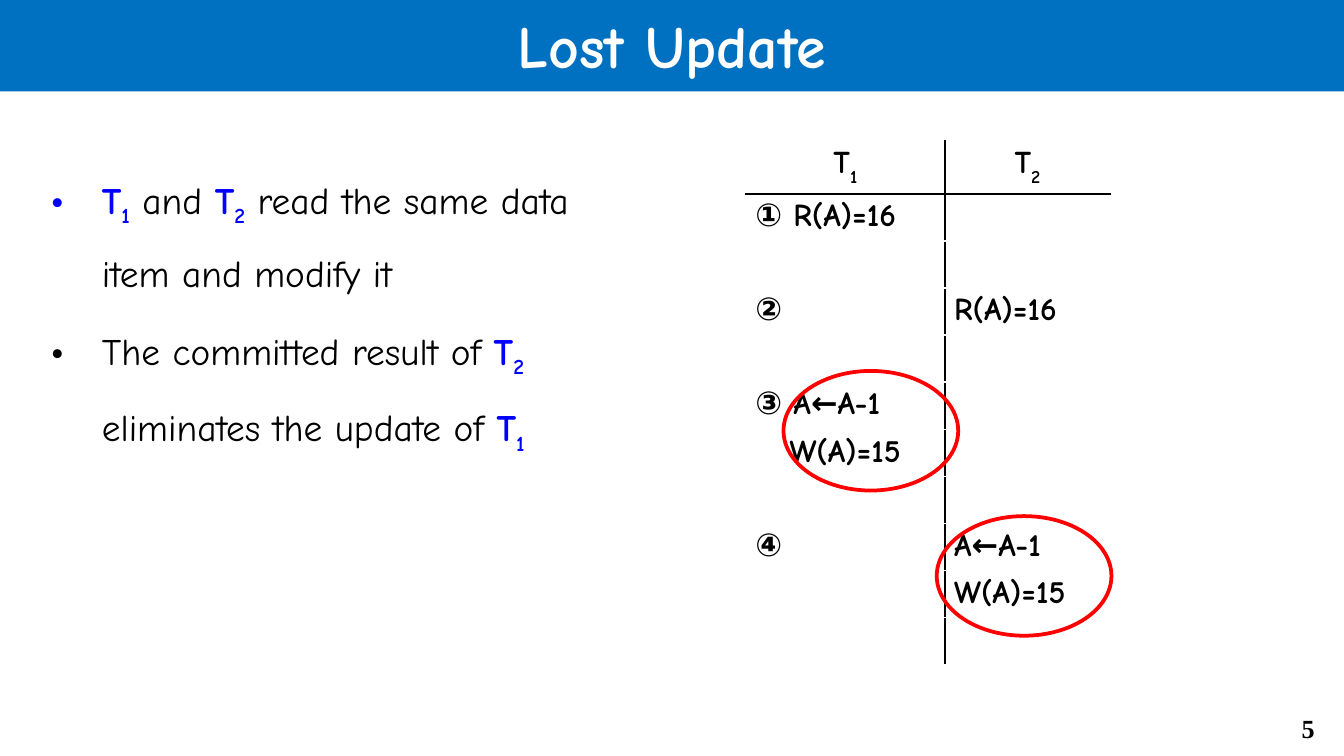
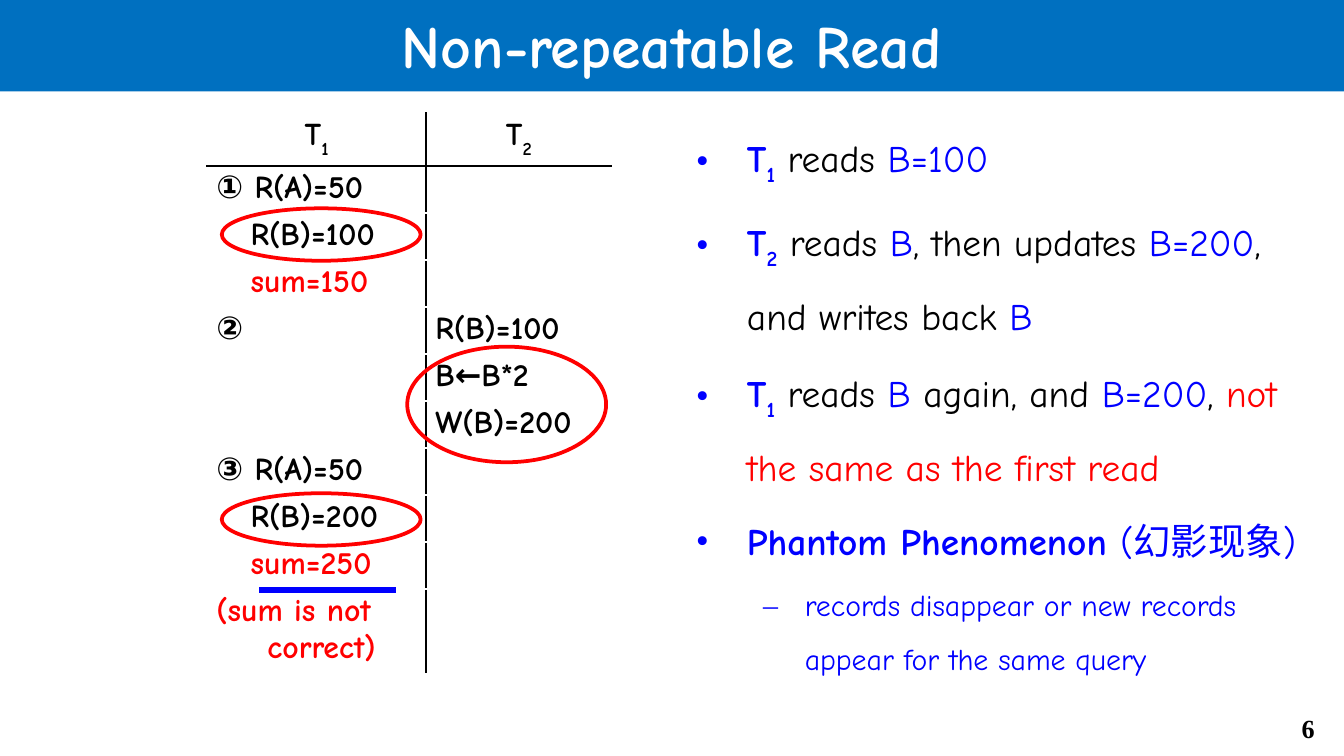
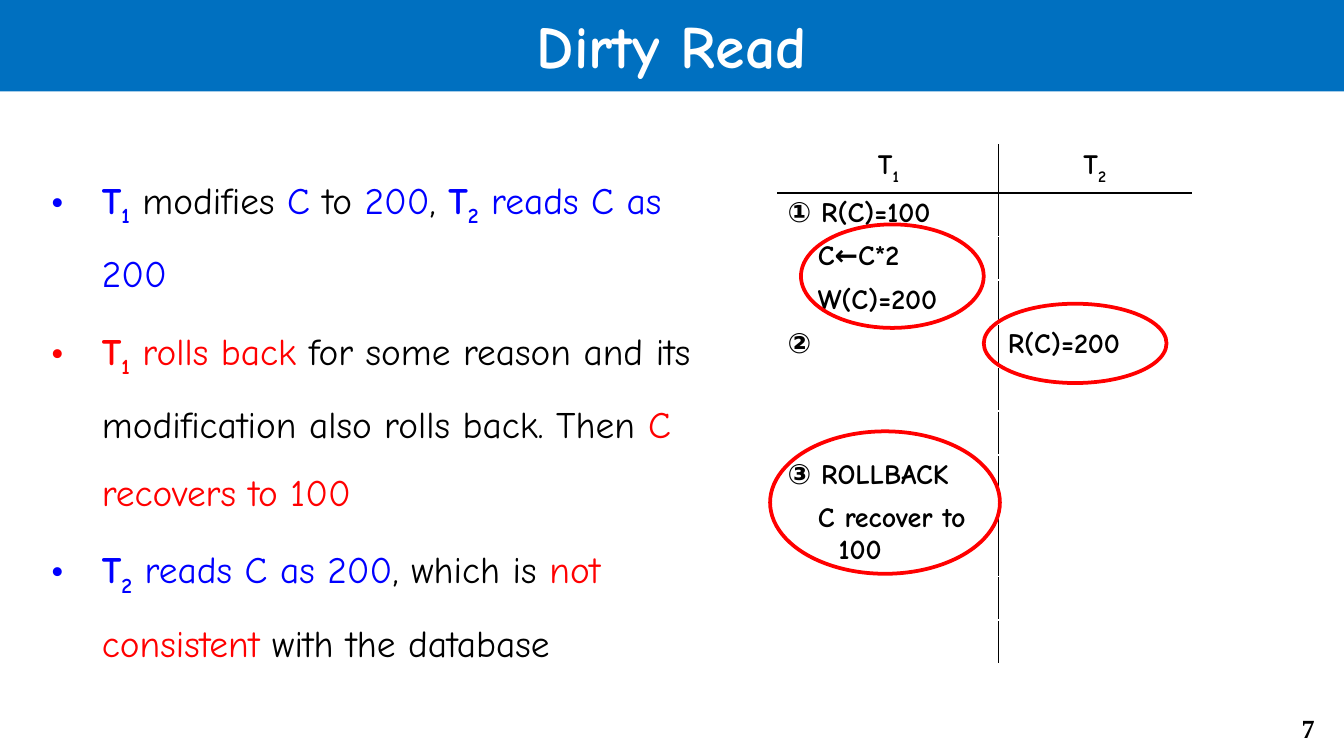
from pptx import Presentation
from pptx.dml.color import RGBColor
from pptx.enum.shapes import MSO_CONNECTOR, MSO_SHAPE
from pptx.enum.text import MSO_ANCHOR, PP_ALIGN
from pptx.oxml.ns import qn
from pptx.util import Inches, Pt
from lxml import etree

RECT, OVAL = MSO_SHAPE.RECTANGLE, MSO_SHAPE.OVAL
LINE = MSO_CONNECTOR.STRAIGHT
MID = MSO_ANCHOR.MIDDLE
LEFT, MIDDLE, RIGHT = PP_ALIGN.LEFT, PP_ALIGN.CENTER, PP_ALIGN.RIGHT

BLACK, WHITE, BLUE, RED, BAND = "000000", "FFFFFF", "0000FF", "FF0000", "0070C0"
FONT, SERIF = "Comic Neue", "Times New Roman"
# Run codes: the letter picks the colour, a capital makes it bold
TINTS = {"k": BLACK, "b": BLUE, "r": RED}
HANG = 0.38


def color(code):
    return RGBColor.from_string(code)


def put(par, text, size=20, tint=BLACK, bold=False, font=FONT, base=0):
    """Add one run; base shifts it below the line, in percent."""
    run = par.add_run()
    run.text = text
    run.font.size, run.font.bold, run.font.name = Pt(size), bold, font
    run.font.color.rgb = color(tint)
    if base:
        run.font._element.set("baseline", str(base * 1000))


def fill_par(par, parts, size, base):
    """Write (text, code) parts; what follows "_" is a subscript."""
    for text, code in parts:
        look = dict(size=size, tint=TINTS[code.lower()], bold=code.isupper())
        main, _, sub = text.partition("_")
        put(par, main, **look)
        if sub:
            put(par, sub, base=base, **look)


def indent(par, left, first):
    props = par._p.get_or_add_pPr()
    props.set("marL", str(Inches(left)))
    props.set("indent", str(Inches(first)))
    return props


class Deck:
    def __init__(self):
        self.file = Presentation()
        self.file.slide_width = Inches(10)
        self.file.slide_height = Inches(10 * 9 / 16)
        self.slide = None

    def page(self, title, number):
        """Start a slide with its title band and number."""
        self.slide = self.file.slides.add_slide(self.file.slide_layouts[6])
        frame = self.box(9.25, 5.25, 0.63, 0.34)
        par = frame.paragraphs[0]
        par.alignment, par.space_before = RIGHT, Pt(3)
        put(par, str(number), size=14, bold=True, font=SERIF)

        band = self.shape(RECT, 0, -0.02, 10, 0.7)
        band.fill.solid()
        band.fill.fore_color.rgb = color(BAND)
        band.line.fill.background()
        band.text_frame.vertical_anchor = MID
        par = band.text_frame.paragraphs[0]
        par.alignment = MIDDLE
        put(par, title, size=32, tint=WHITE, bold=True)

    def box(self, x, y, w, h):
        frame = self.slide.shapes.add_textbox(*map(Inches, (x, y, w, h))).text_frame
        frame.word_wrap = True
        return frame

    def shape(self, kind, x, y, w, h):
        shape = self.slide.shapes.add_shape(kind, *map(Inches, (x, y, w, h)))
        shape.shadow.inherit = False
        return shape

    def ring(self, x, y, w, h):
        ring = self.shape(OVAL, x, y, w, h)
        ring.fill.background()
        ring.line.color.rgb = color(RED)
        ring.line.width = Pt(2)

    def rule(self, x, y, end):
        rule = self.slide.shapes.add_connector(LINE, *map(Inches, (x, y, end, y)))
        rule.line.color.rgb = color(BLUE)
        rule.line.width = Pt(3)
        etree.SubElement(rule._element.spPr, qn("a:effectLst"))

    def points(self, x, y, w, h, items, subs=()):
        """Bulleted list; subs are second-level lines at the end."""
        frame = self.box(x, y, w, h)
        rows = [(item, 20, HANG, HANG, "•") for item in items]
        rows += [(item, 16, 0.81, 0.31, "–") for item in subs]
        for i, (parts, size, left, hang, mark) in enumerate(rows):
            par = frame.add_paragraph() if i else frame.paragraphs[0]
            par.level = int(size == 16)
            par.line_spacing, par.space_before = 1.5, Pt(size * 0.2)
            props = indent(par, left, -hang)
            etree.SubElement(props, qn("a:buFont")).set("typeface", SERIF)
            etree.SubElement(props, qn("a:buChar")).set("char", mark)
            fill_par(par, parts, size, -25)

    def table(self, x, y, cols, tall, rows, size=17, high=None):
        """Schedule of T1 and T2; high maps a row to its own height."""
        rows = [("T_1", "T_2")] + rows
        spans = [(high or {}).get(r, tall) for r in range(len(rows))]
        dims = (x, y, sum(cols), sum(spans))
        grid = self.slide.shapes.add_table(len(rows), 2, *map(Inches, dims)).table
        grid.first_row = grid.horz_banding = False
        for col, wide in zip(grid.columns, cols):
            col.width = Inches(wide)
        for r, (pair, span) in enumerate(zip(rows, spans)):
            grid.rows[r].height = Inches(span)
            for c, text in enumerate(pair):
                self.cell(grid.cell(r, c), text, r, c, size)

    def cell(self, cell, text, r, c, size):
        cell.margin_left = cell.margin_right = Inches(0.07)
        cell.margin_top = cell.margin_bottom = Inches(0.03)
        # ">" sets the text in under the step mark, "!" makes it red
        inset = size * 0.015 if text.startswith(">") else 0
        code = "R" if "!" in text else "K"
        par = cell.text_frame.paragraphs[0]
        par.alignment = LEFT if r else MIDDLE
        indent(par, HANG, inset - HANG)
        if text:
            fill_par(par, [(text.lstrip(">!"), code)], size, -30)
        else:
            end = etree.SubElement(par._p, qn("a:endParaRPr"))
            end.set("sz", str(size * 100))
            etree.SubElement(end, qn("a:latin")).set("typeface", FONT)
        # Black between the columns and under the header, white elsewhere
        black = {"L": c == 1, "R": c == 0, "T": r == 1, "B": r == 0}
        props = cell._tc.get_or_add_tcPr()
        for side, dark in black.items():
            edge = etree.SubElement(props, qn("a:ln" + side))
            edge.set("w", str(Pt(1)))
            paint = etree.SubElement(edge, qn("a:solidFill"))
            etree.SubElement(paint, qn("a:srgbClr")).set("val", BLACK if dark else WHITE)
        cell.fill.background()


def lost(deck):
    deck.page("Lost Update", 5)
    deck.points(0.28, 1.08, 4.57, 2.24, [
        [("T_1", "B"), (" and ", "k"), ("T_2", "B"),
         (" read the same data item and modify it", "k")],
        [("The committed result of ", "k"), ("T_2", "B"),
         (" eliminates the update of ", "k"), ("T_1", "B")],
    ])
    deck.table(5.55, 1.05, (1.48, 1.23), 0.35, [
        ("① R(A)=16", ""), ("", ""),
        ("②", "R(A)=16"), ("", ""),
        ("③ A←A-1", ""), (">W(A)=15", ""), ("", ""),
        ("④", "A←A-1"), ("", "W(A)=15"), ("", ""),
    ])
    for x, y in ((5.83, 2.76), (6.97, 3.84)):
        deck.ring(x, y, 1.3, 0.89)


def reread(deck):
    deck.page("Non-repeatable Read", 6)
    deck.points(5.08, 0.77, 4.8, 4.16, [
        [("T_1", "B"), (" reads ", "k"), ("B=100", "b")],
        [("T_2", "B"), (" reads ", "k"), ("B", "b"), (", then updates ", "k"),
         ("B=200", "b"), (", and writes back ", "k"), ("B", "b")],
        [("T_1", "B"), (" reads ", "k"), ("B", "b"), (" again, and ", "k"),
         ("B=200", "b"), (", ", "k"), ("not the same as the first read", "r")],
        [("Phantom Phenomenon ", "B"), ("(幻影现象)", "b")],
    ], [[("records disappear or new records appear for the same query", "b")]])
    deck.table(1.54, 0.84, (1.63, 1.38), 0.35, [
        ("① R(A)=50", ""), (">R(B)=100", ""), (">!sum=150", ""),
        ("②", "R(B)=100"), ("", "B←B*2"), ("", "W(B)=200"),
        ("③ R(A)=50", ""), (">R(B)=200", ""), (">!sum=250", ""),
        ("!(sum is not correct)", ""),
    ], high={10: 0.62})
    deck.ring(3.03, 2.58, 1.48, 0.86)
    for y in (3.67, 1.55):
        deck.ring(1.65, y, 1.48, 0.39)
    deck.rule(1.93, 4.39, 2.95)


def dirty(deck):
    deck.page("Dirty Read", 7)
    deck.points(0.28, 1.08, 4.96, 3.78, [
        [("T_1", "B"), (" modifies ", "k"), ("C", "b"), (" to ", "k"),
         ("200", "b"), (", ", "k"), ("T_2", "B"), (" reads C as 200", "b")],
        [("T_1", "R"), (" rolls back ", "r"),
         ("for some reason and its modification also rolls back. Then ", "k"),
         ("C recovers to 100", "r")],
        [("T_2", "B"), (" reads C as 200", "b"), (", which is ", "k"),
         ("not consistent", "r"), (" with the database", "k")],
    ])
    deck.table(5.79, 1.08, (1.64, 1.43), 3.25 / 10, [
        ("① R(C)=100", ""), (">C←C*2", ""), (">W(C)=200", ""),
        ("②", "R(C)=200"), ("", ""), ("", ""),
        ("③ ROLLBACK", ""), (">C recover to 100", ""), ("", ""), ("", ""),
    ], size=15, high={8: 0.58})
    deck.ring(5.73, 3.21, 1.71, 1.06)
    deck.ring(7.32, 2.26, 1.36, 0.59)
    deck.ring(5.96, 1.67, 1.36, 0.77)


def main():
    deck = Deck()
    for build in (lost, reread, dirty):
        build(deck)
    deck.file.save("out.pptx")


if __name__ == "__main__":
    main()
